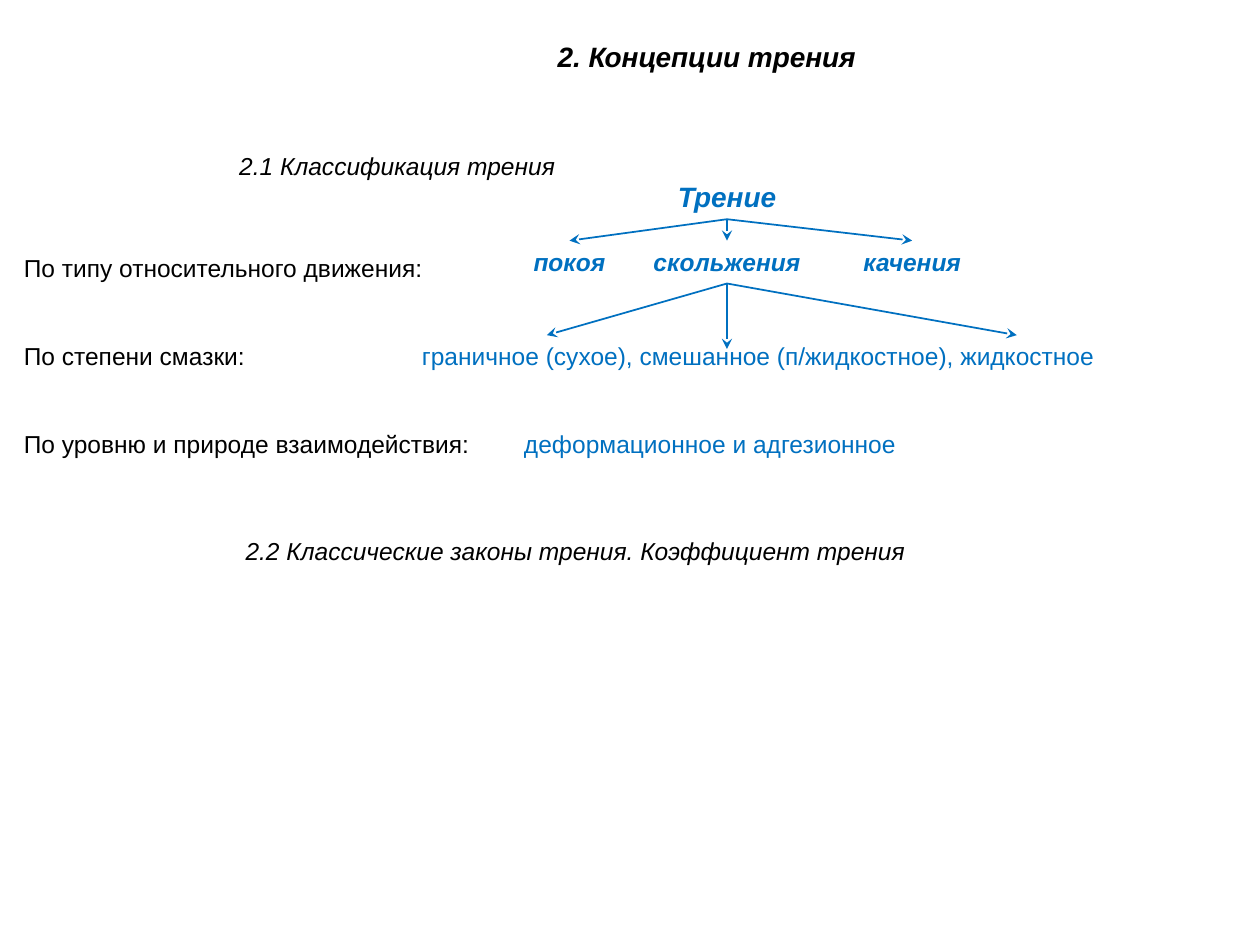
from dataclasses import dataclass

from lxml.etree import SubElement
from pptx import Presentation
from pptx.dml.color import RGBColor
from pptx.enum.shapes import MSO_CONNECTOR as Link
from pptx.enum.text import MSO_ANCHOR as Anchor, PP_ALIGN as Align
from pptx.oxml.ns import qn
from pptx.util import Inches, Pt


@dataclass(frozen=True)
class Theme:
    """Colours, font and type sizes of the slide."""
    ink: RGBColor = RGBColor(0, 0, 0)
    blue: RGBColor = RGBColor(0x00, 0x70, 0xC0)
    font: str = "Arial"
    head: Pt = Pt(16)
    body: Pt = Pt(14)
    line: Pt = Pt(1)
    gap: Pt = Pt(25)


THEME = Theme()


def style(run, size, color, bold=False, italic=False):
    """Format one run."""
    font = run.font
    font.name, font.size = THEME.font, size
    font.bold, font.italic = bold, italic
    font.color.rgb = color


def frame(slide, box):
    """Add a wrapped, vertically centred text box."""
    shape = slide.shapes.add_textbox(*map(Inches, box))
    shape.text_frame.word_wrap = True
    shape.text_frame.vertical_anchor = Anchor.MIDDLE
    return shape


def label(slide, box, text, size, color):
    """Add a centred bold italic label."""
    shape = frame(slide, box)
    para = shape.text_frame.paragraphs[0]
    para.text, para.alignment = text, Align.CENTER
    style(para.runs[0], size, color, bold=True, italic=True)
    return shape


def section(slide, box, text):
    """Add an italic section heading."""
    para = frame(slide, box).text_frame.paragraphs[0]
    para.text, para.alignment, para.line_spacing = text, Align.JUSTIFY, 1.5
    style(para.runs[0], THEME.body, THEME.ink, italic=True)


def arrow(slide, start, end):
    """Draw an arrow from a shape's bottom to a shape's top or a point."""
    joined = not isinstance(end, tuple)
    tip = (end.left + end.width // 2, end.top) if joined else map(Inches, end)
    link = slide.shapes.add_connector(Link.STRAIGHT, 0, 0, *tip)
    link.begin_connect(start, 2)
    if joined:
        link.end_connect(end, 0)
    link.line.color.rgb, link.line.width = THEME.blue, THEME.line
    SubElement(link.line._get_or_add_ln(), qn("a:tailEnd"), type="stealth")
    SubElement(link._element.spPr, qn("a:effectLst"))


def tree(slide, box, root, kinds, tips):
    """Draw the root, its kinds and the arrows leaving the middle kind."""
    left, top, width, height = box
    wide, low = 1.4, 0.34
    mid = left + 1.25
    base = label(slide, (mid, top, wide, 0.37), root, THEME.head, THEME.blue)
    spots = (left, mid, left + width - wide)
    nodes = [label(slide, (x, top + height - low, wide, low), kind,
                   THEME.body, THEME.blue) for x, kind in zip(spots, kinds)]
    for node in nodes:
        arrow(slide, base, node)
    for dx, dy in tips:
        arrow(slide, nodes[1], (left + dx, top + dy))


def criteria(slide, box, rows):
    """List the criteria, each with its values at a tab stop."""
    text = frame(slide, box).text_frame
    for i, (name, stop, value) in enumerate(rows):
        para = text.add_paragraph() if i else text.paragraphs[0]
        para.alignment, para.line_spacing = Align.JUSTIFY, 1.5
        if i:
            para.space_before = THEME.gap
        if value:
            tabs = SubElement(para._p.get_or_add_pPr(), qn("a:tabLst"))
            SubElement(tabs, qn("a:tab"), pos=str(Inches(stop)), algn="l")
        para.text = name
        style(para.runs[0], THEME.body, THEME.ink)
        if value:
            run = para.add_run()
            run.text = "\t" + value
            style(run, THEME.body, THEME.blue)


def main():
    """Build and save the slide."""
    deck = Presentation()
    deck.slide_width, deck.slide_height = Inches(10), Inches(7.5)
    slide = deck.slides.add_slide(deck.slide_layouts[6])
    label(slide, (1.51, 0.23, 8.2, 0.44), "2. Концепции трения",
          THEME.head, THEME.ink)
    section(slide, (1.8, 1.03, 3.29, 0.45), "2.1 Классификация трения")
    criteria(slide, (0.09, 1.84, 9.65, 1.85), (
        ("По типу относительного движения:", 0, ""),
        ("По степени смазки:", 3.16,
         "граничное (сухое), смешанное (п/жидкостное), жидкостное"),
        ("По уровню и природе взаимодействия:", 3.97,
         "деформационное и адгезионное")))
    tree(slide, (3.82, 1.37, 4.12, 0.88), "Трение",
         ("покоя", "скольжения", "качения"),
         ((0.52, 1.29), (1.95, 1.4), (4.25, 1.29)))
    section(slide, (1.85, 4.09, 6.09, 0.45),
            "2.2 Классические законы трения. Коэффициент трения")
    deck.save("out.pptx")


if __name__ == "__main__":
    main()
